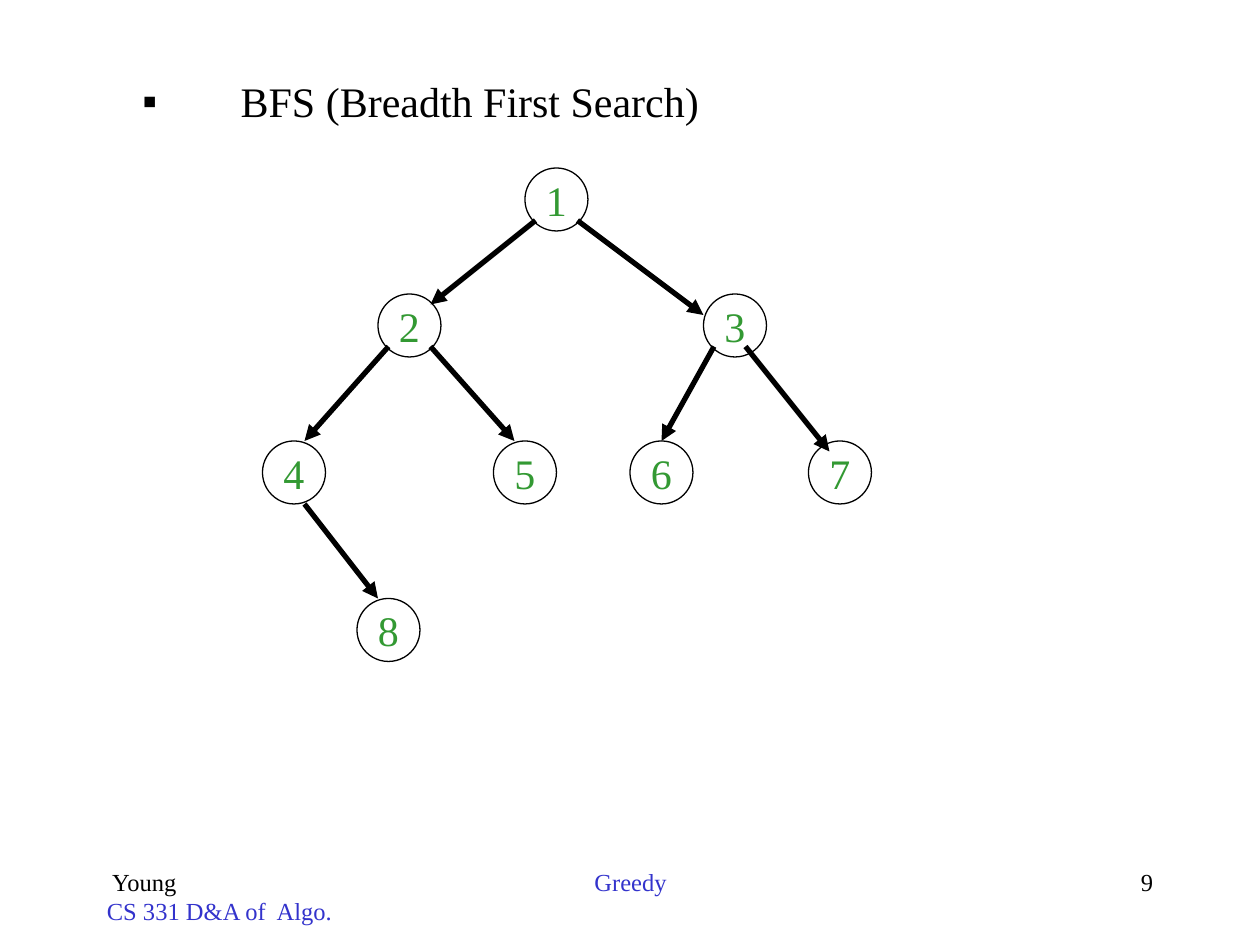
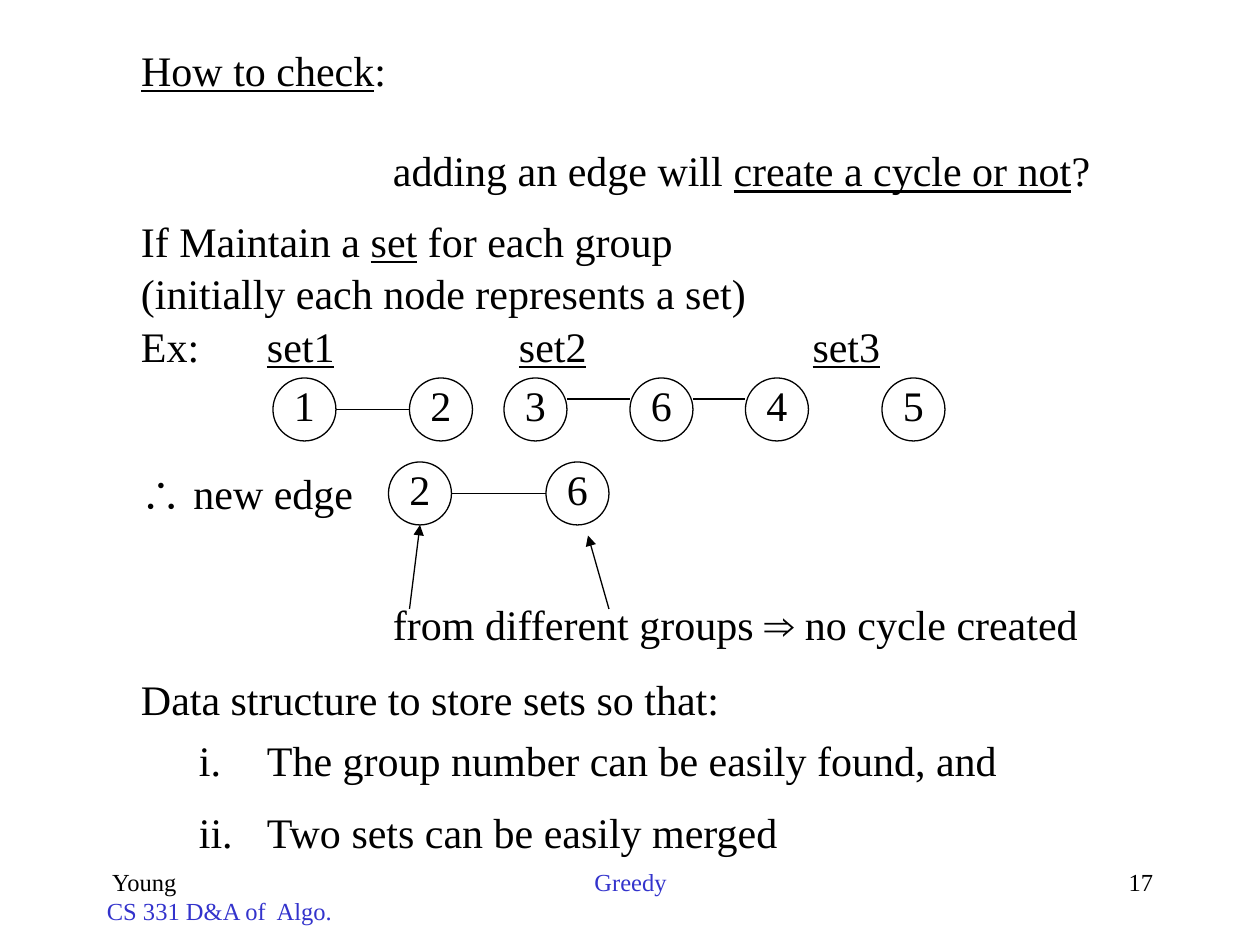
from itertools import groupby

from lxml.etree import SubElement
from pptx import Presentation
from pptx.dml.color import RGBColor
from pptx.enum.shapes import MSO_CONNECTOR as Connector, MSO_SHAPE as Shape
from pptx.enum.text import MSO_ANCHOR as Anchor, MSO_AUTO_SIZE as AutoSize, PP_ALIGN as Align
from pptx.oxml.ns import qn
from pptx.util import Inches, Pt

BLACK, BLUE, GREEN = "000000", "3333CC", "339933"
SERIF, SYMBOL_FONT, SYMBOLS = "Times New Roman", "Arial", "∴⇒"
BODY_SIZE, FOOTER_SIZE = 24, 14
GRID = 12
NODE = 6
LINE_HEIGHT = 0.5

FOOTERS = [
    (0.75, 2.08, Align.LEFT, [(" Young", BLACK), ("CS 331 D&A of  Algo.", BLUE)]),
    (3.42, 3.17, Align.CENTER, [("Greedy", BLUE)]),
]
NUMBER_PLACE = (7.17, 2.08, Align.RIGHT)
FOOTER_TOP = 6.83

BFS = {
    "number": "9",
    "title": ("BFS (Breadth First Search)", 1.03, 0.55),
    "bullet": ("▪", 0.78),
    "node_color": GREEN,
    "lift": 0,
    "nodes": [("1", 50, 16), ("2", 36, 28), ("3", 67, 28), ("4", 25, 42),
              ("5", 47, 42), ("6", 60, 42), ("7", 77, 42), ("8", 34, 57)],
    "edges": [],
    "arrows": [(51, 21, 41, 29), (37, 33, 29, 42), (41, 33, 49, 42), (29, 48, 36, 57),
               (55, 21, 67, 30), (68, 33, 63, 42), (71, 33, 79, 43)],
    "arrow_width": 3,
    "texts": [],
}
CYCLE_CHECK = {
    "number": "17",
    "title": ("_How to check_:", 1.02, 0.3),
    "node_color": BLACK,
    "lift": 0.08,
    "nodes": [("1", 26, 36), ("2", 39, 36), ("3", 48, 36), ("6", 60, 36), ("4", 71, 36),
              ("5", 84, 36), ("2", 37, 44), ("6", 52, 44)],
    "edges": [(32, 39, 39, 39), (54, 38, 60, 38), (66, 38, 71, 38), (43, 47, 52, 47)],
    "arrows": [(39, 58, 40, 50), (58, 58, 56, 51)],
    "arrow_width": 0.75,
    "texts": [
        (3.02, 1.1, ["adding an edge will _create a cycle or not_?"], {}),
        (1.02, 1.66, ["If Maintain a _set_ for each group",
                      "(initially each node represents a set)",
                      "Ex:\t_set1_\t_set2_\t_set3_"], {"gap": 1.2, "tabs": (1, 3, 5.33)}),
        (1.02, 3.66, ["∴ new edge"], {}),
        (3.02, 4.7, ["from different groups ⇒ no cycle created"], {}),
        (1.02, 5.3, ["Data structure to store sets so that:"], {}),
        (1.48, 5.78, ["The group number can be easily found, and",
                      "Two sets can be easily merged"], {"gap": 12.4, "numbered": 0.54}),
    ],
}


def rgb(color):
    return RGBColor.from_string(color)


def write(paragraph, text, color=BLACK, size=BODY_SIZE, align=Align.LEFT):
    paragraph.alignment = align
    for index, piece in enumerate(text.split("_")):
        for is_symbol, letters in groupby(piece, lambda letter: letter in SYMBOLS):
            run = paragraph.add_run()
            run.text = "".join(letters)
            run.font.name = SYMBOL_FONT if is_symbol else SERIF
            run.font.size = Pt(size)
            run.font.color.rgb = rgb(color)
            run.font.underline = index % 2 == 1


def hang(paragraph, indent, tag, **attributes):
    properties = paragraph._p.get_or_add_pPr()
    properties.set("marL", str(Inches(indent)))
    properties.set("indent", str(-Inches(indent)))
    SubElement(properties, qn("a:buFont"), typeface=SYMBOL_FONT if tag == "a:buChar" else SERIF)
    SubElement(properties, qn(tag), **attributes)


def prepare(frame):
    frame.word_wrap = True
    frame.auto_size = AutoSize.NONE
    frame.vertical_anchor = Anchor.TOP


def add_text(slide, left, top, width, height):
    frame = slide.shapes.add_textbox(*map(Inches, (left, top, width, height))).text_frame
    prepare(frame)
    return frame


def next_paragraph(frame, index):
    return frame.add_paragraph() if index else frame.paragraphs[0]


def add_lines(slide, left, top, lines, gap=0, tabs=(), numbered=0):
    frame = add_text(slide, left, top, 9.6 - left, LINE_HEIGHT * len(lines))
    for index, line in enumerate(lines):
        paragraph = next_paragraph(frame, index)
        write(paragraph, line)
        paragraph.space_before = Pt(gap if index else 0)
        if numbered:
            hang(paragraph, numbered, "a:buAutoNum", type="romanLcPeriod")
        if tabs:
            stops = SubElement(paragraph._p.get_or_add_pPr(), qn("a:tabLst"))
            for stop in tabs:
                SubElement(stops, qn("a:tab"), pos=str(Inches(stop)), algn="l")


def add_title(slide, text, left, top, bullet=None):
    title = slide.shapes.title
    title.left, title.top = Inches(left), Inches(top)
    title.width, title.height = Inches(9.5 - left), Inches(LINE_HEIGHT)
    prepare(title.text_frame)
    heading = title.text_frame.paragraphs[0]
    write(heading, text)
    if bullet:
        mark, indent = bullet
        hang(heading, indent, "a:buChar", char=mark)


def add_footers(slide, number):
    for left, width, align, lines in FOOTERS + [(*NUMBER_PLACE, [(number, BLACK)])]:
        frame = add_text(slide, left, FOOTER_TOP, width, LINE_HEIGHT)
        for index, (line, color) in enumerate(lines):
            write(next_paragraph(frame, index), line, color, FOOTER_SIZE, align)


def cells(*counts):
    return [Inches(count / GRID) for count in counts]


def add_node(slide, label, column, row, color, lift):
    node = slide.shapes.add_shape(Shape.OVAL, *cells(column, row, NODE, NODE))
    node.shadow.inherit = False
    node.fill.background()
    node.line.color.rgb = rgb(BLACK)
    node.line.width = Pt(0.75)
    frame = node.text_frame
    frame.margin_left = frame.margin_right = frame.margin_top = 0
    frame.margin_bottom = Inches(lift)
    frame.vertical_anchor = Anchor.MIDDLE
    frame.word_wrap = False
    write(frame.paragraphs[0], label, color, align=Align.CENTER)


def add_edge(slide, ends, width=0.75, arrow=False):
    edge = slide.shapes.add_connector(Connector.STRAIGHT, *cells(*ends))
    edge.line.color.rgb = rgb(BLACK)
    edge.line.width = Pt(width)
    if arrow:
        SubElement(edge.line._get_or_add_ln(), qn("a:tailEnd"), type="triangle")
    SubElement(edge._element.spPr, qn("a:effectLst"))


def build(deck, content):
    slide = deck.slides.add_slide(deck.slide_layouts[5])
    add_footers(slide, content["number"])
    add_title(slide, *content["title"], content.get("bullet"))
    for left, top, lines, style in content["texts"]:
        add_lines(slide, left, top, lines, **style)
    for node in content["nodes"]:
        add_node(slide, *node, content["node_color"], content["lift"])
    for ends in content["edges"]:
        add_edge(slide, ends)
    for ends in content["arrows"]:
        add_edge(slide, ends, content["arrow_width"], arrow=True)


def main():
    deck = Presentation()
    deck.slide_width, deck.slide_height = Inches(10), Inches(7.5)
    for content in (BFS, CYCLE_CHECK):
        build(deck, content)
    deck.save("out.pptx")


if __name__ == "__main__":
    main()
